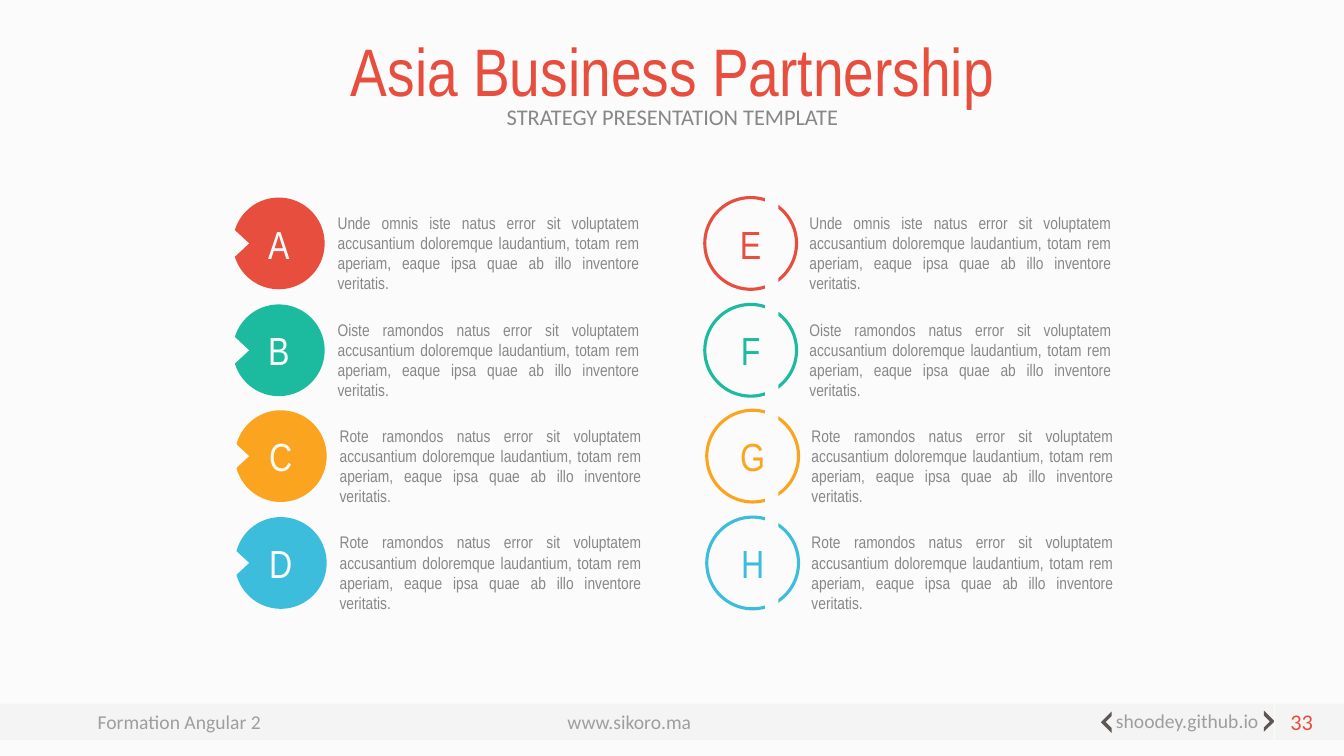
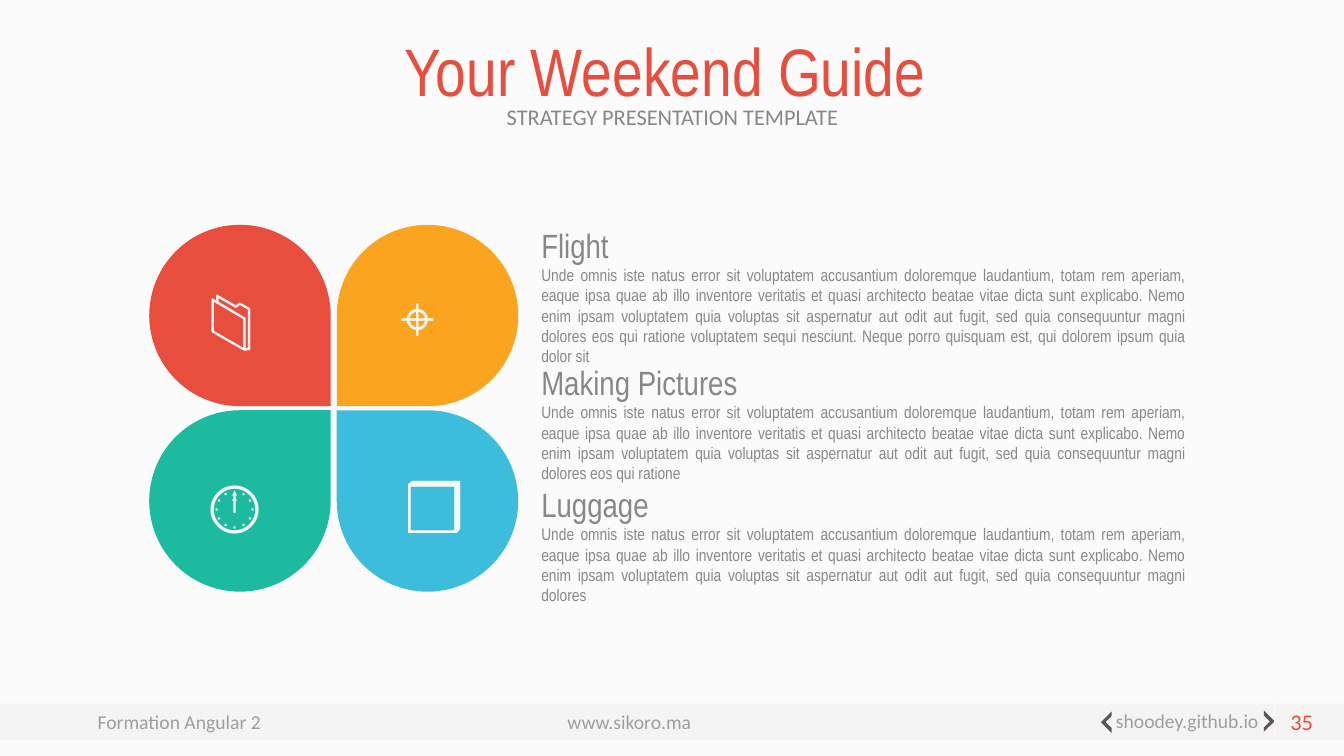
"""Build two infographic slides that share a title style and a footer band."""
from lxml.etree import SubElement
from pptx import Presentation
from pptx.dml.color import RGBColor
from pptx.enum.shapes import MSO_CONNECTOR, MSO_SHAPE as SHAPE
from pptx.enum.text import MSO_ANCHOR as ANCHOR, PP_ALIGN as ALIGN
from pptx.oxml.ns import qn
from pptx.util import Pt

PX = 9144
COLORS = {
    "paper": "FBFBFB", "red": "E74E3E", "green": "1CBB9F", "orange": "FBA41F",
    "blue": "3CBDDC", "gray": "878787", "brown": "5E5652", "icon": "F6F6F6",
}
NARROW, PLAIN, SYMBOL = "Arial Narrow", "Calibri", "Roboto"


def draw(page, kind, at, fill=None, line=None, turn=0):
    """Add a preset shape, or a text box when kind is None."""
    place = [length * PX for length in at]
    if kind is None:
        return page.shapes.add_textbox(*place)
    shape = page.shapes.add_shape(kind, *place)
    shape.shadow.inherit = False
    shape.rotation = turn
    if fill:
        shape.fill.solid()
        shape.fill.fore_color.rgb = RGBColor.from_string(COLORS[fill])
    else:
        shape.fill.background()
    if line:
        shape.line.color.rgb = RGBColor.from_string(COLORS[line])
        shape.line.width = Pt(2.25)
    else:
        shape.line.fill.background()
    return shape


def write(box, lines, font, color, align=ALIGN.LEFT, anchor=ANCHOR.TOP, spacing=1.0):
    """Fill a box with one paragraph per (text, size) pair."""
    frame = box.text_frame
    frame.word_wrap = True
    frame.vertical_anchor = anchor
    for index, (text, size) in enumerate(lines):
        para = frame.add_paragraph() if index else frame.paragraphs[0]
        para.alignment = align
        para.line_spacing = spacing
        span = para.add_run()
        span.text = text
        span.font.size = Pt(size)
        span.font.name = font
        span.font.color.rgb = RGBColor.from_string(COLORS[color])
    return box


deck = Presentation()
deck.slide_width, deck.slide_height = 1333 * PX, 750 * PX
backdrop = deck.slide_master.background.fill
backdrop.solid()
backdrop.fore_color.rgb = RGBColor.from_string(COLORS["paper"])

pages = []
for title, number in [("Asia Business Partnership", "33"), ("Your Weekend Guide ", "35")]:
    page = deck.slides.add_slide(deck.slide_layouts[6])
    pages.append(page)

    faded = [(draw(page, SHAPE.RECTANGLE, (0, 698, 1333, 36), "brown"), 4)]
    for text, left, top, width in [
        ("Formation Angular 2", 87, 699, 203),
        ("www.sikoro.ma", 553, 699, 164),
        ("shoodey.github.io", 1097, 698, 184),
    ]:
        box = draw(page, None, (left, top, width, 34))
        faded.append((write(box, [(text, 14)], PLAIN, "gray"), 79))
    for shape, percent in faded:
        for tint in shape._element.iter(qn("a:srgbClr")):
            SubElement(tint, qn("a:alpha")).set("val", str(percent * 1000))

    for left, top, turn in [(1095, 709, 315), (1246, 708, 135)]:
        chevron = draw(page, SHAPE.HALF_FRAME, (left, top, 15, 15), "brown", turn=turn)
        chevron.adjustments[0], chevron.adjustments[1] = 0.21, 0.23

    divider = page.shapes.add_connector(
        MSO_CONNECTOR.STRAIGHT, 1264 * PX, 695 * PX, 1264 * PX, 734 * PX)
    divider.line.color.rgb = RGBColor.from_string(COLORS["paper"])
    divider.line.width = Pt(1)
    SubElement(divider._element.spPr, qn("a:effectLst"))

    write(draw(page, None, (167, 16, 1000, 99)), [(title, 48)], NARROW, "red",
          ALIGN.CENTER, ANCHOR.BOTTOM, 0.9)
    write(draw(page, None, (167, 100, 1000, 49)), [("STRATEGY PRESENTATION TEMPLATE", 16)],
          PLAIN, "gray", ALIGN.CENTER, spacing=0.9)
    write(draw(page, None, (1258, 698, 54, 36)), [(number, 16)], PLAIN, "red", ALIGN.RIGHT)

partners, guide = pages

ENDING = (" natus error sit voluptatem accusantium doloremque laudantium, totam rem "
          "aperiam, eaque ipsa quae ab illo inventore veritatis.")
steps = [
    ("А", "E", "red", "Unde omnis iste", 0),
    ("B", "F", "green", "Oiste ramondos", 0),
    ("C", "G", "orange", "Rote ramondos", 2),
    ("D", "H", "blue", "Rote ramondos", 2),
]
for row, (solid_letter, ring_letter, color, opening, nudge) in enumerate(steps):
    top = 196 + round(row * 105.7)
    for left, letter, fill, line, ink in [
        (231 + nudge, solid_letter, color, None, "paper"),
        (699 + nudge, ring_letter, None, color, color),
    ]:
        circle = draw(partners, SHAPE.OVAL, (left, top, 91, 91), fill, line)
        write(circle, [(letter, 28)], NARROW, ink, ALIGN.CENTER, ANCHOR.MIDDLE)
        box = draw(partners, None, (left + 94, top + 10, 319, 91))
        write(box, [(opening + ENDING, 12)], NARROW, "gray", ALIGN.JUSTIFY)
    draw(partners, SHAPE.ISOSCELES_TRIANGLE, (197, top + 28, 65, 35), "paper", turn=90)
draw(partners, SHAPE.RECTANGLE, (759, 196, 13, 408), "paper")

for left, top, color, turn in [
    (148, 407, "green", 0), (334, 407, "blue", 270),
    (148, 223, "red", 90), (334, 223, "orange", 180),
]:
    draw(guide, SHAPE.TEAR, (left, top, 180, 180), color, turn=turn)

for icon, size, left, top in [
    ("⌖", 44, 387, 272), ("📁", 44, 198, 272), ("🕛", 44, 197, 457), ("❒", 48, 391, 458),
]:
    write(draw(guide, None, (left, top, 107, 91)), [(icon, size)], SYMBOL, "icon")

SHORT = ("Unde omnis iste natus error sit voluptatem accusantium doloremque laudantium, "
         "totam rem aperiam, eaque ipsa quae ab illo inventore veritatis et quasi architecto "
         "beatae vitae dicta sunt explicabo. Nemo enim ipsam voluptatem quia voluptas sit "
         "aspernatur aut odit aut fugit, sed quia consequuntur magni dolores")
MEDIUM = SHORT + " eos qui ratione"
LONG = MEDIUM + (" voluptatem sequi nesciunt. Neque porro quisquam est, qui dolorem ipsum "
                 "quia dolor sit")
for heading, body, top, height in [
    ("Flight", LONG, 218, 131), ("Making Pictures", MEDIUM, 354, 111),
    ("Luggage", SHORT, 475, 111),
]:
    box = draw(guide, None, (527, top, 659, height))
    write(box, [(heading, 24), (body, 12)], NARROW, "gray", ALIGN.JUSTIFY)

deck.save("out.pptx")
